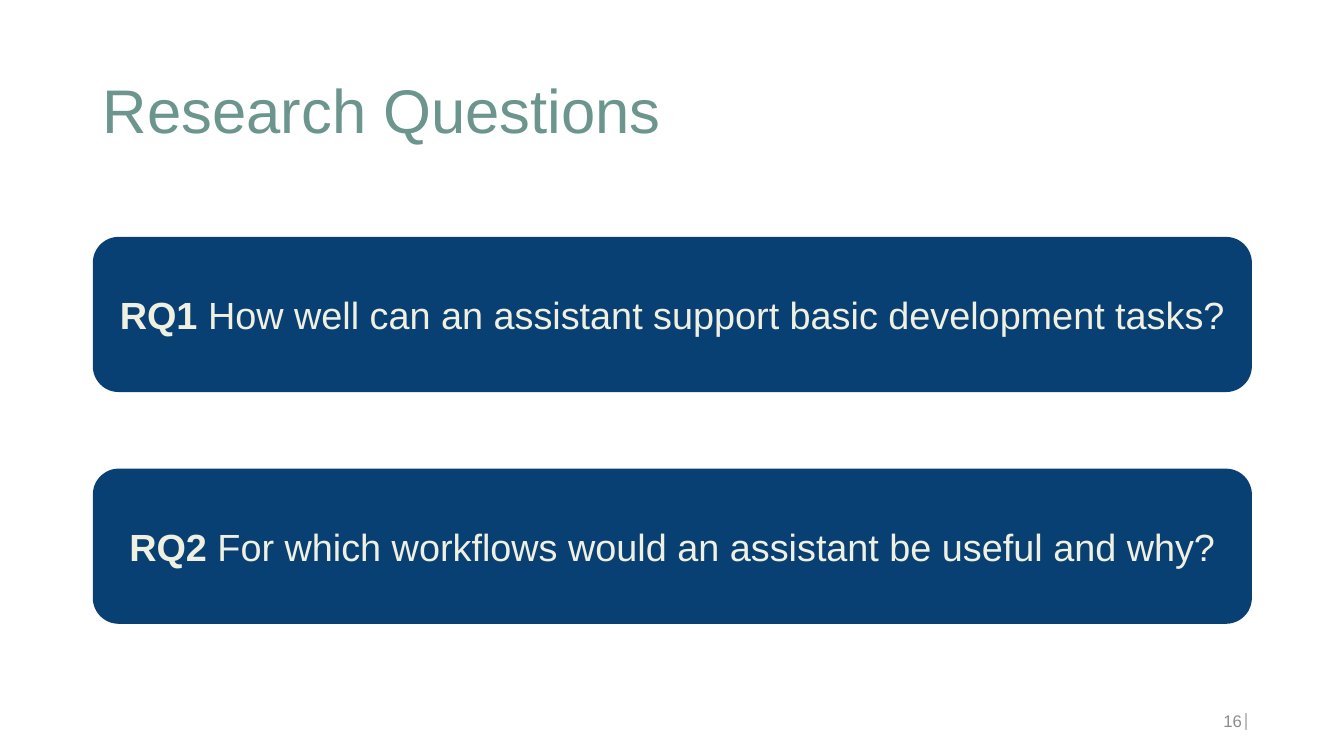
from lxml.etree import SubElement
from pptx import Presentation
from pptx.dml.color import RGBColor
from pptx.enum.shapes import MSO_CONNECTOR, MSO_SHAPE
from pptx.enum.text import MSO_ANCHOR, PP_ALIGN
from pptx.oxml.ns import qn
from pptx.util import Cm, Pt

SAGE = RGBColor(0x6C, 0x95, 0x8E)
NAVY = RGBColor(0x09, 0x40, 0x74)
CREAM = RGBColor(0xF0, 0xF0, 0xE1)
GREY = RGBColor(0x8C, 0x8C, 0x8C)
LIGHT_GREY = RGBColor(0xBF, 0xBF, 0xBF)

TITLE = "Research Questions"
PAGE_NUMBER = "16"
QUESTIONS = [
    ("RQ1 ", "How well can an assistant support basic development tasks?"),
    ("RQ2 ", "For which workflows would an assistant be useful and why?"),
]

TITLE_FORMAT = {"name": "Arial", "size": Pt(44), "color": SAGE}
NUMBER_FORMAT = {"name": "Arial", "size": Pt(12), "color": GREY}
QUESTION_FORMAT = {"name": "Arial", "size": Pt(27), "color": CREAM}

LEFT, WIDTH = 2.34, 29.21
CARD_TOP, CARD_HEIGHT, CARD_STEP = 5.97, 3.91, 5.84
NUMBER_WIDTH = 7.62
RULE_X, RULE_TOP, RULE_BOTTOM = 31.39, 17.96, 18.39


def write(shape, parts, text_format, alignment):
    frame = shape.text_frame
    frame.word_wrap = True
    frame.vertical_anchor = MSO_ANCHOR.MIDDLE
    paragraph = frame.paragraphs[0]
    paragraph.alignment = alignment
    for text, bold in parts:
        run = paragraph.add_run()
        run.text = text
        for name, value in {**text_format, "bold": bold}.items():
            if name == "color":
                run.font.color.rgb = value
            else:
                setattr(run.font, name, value)
    return paragraph


def main():
    presentation = Presentation()
    presentation.slide_width, presentation.slide_height = Cm(33.87), Cm(19.05)
    slide = presentation.slides.add_slide(presentation.slide_layouts[6])
    shapes = slide.shapes

    rule = shapes.add_connector(
        MSO_CONNECTOR.STRAIGHT, Cm(RULE_X), Cm(RULE_TOP), Cm(RULE_X), Cm(RULE_BOTTOM)
    )
    rule.line.color.rgb = LIGHT_GREY
    rule.line.width = Pt(1.5)
    SubElement(rule._element.spPr, qn("a:effectLst"))

    title = shapes.add_textbox(Cm(LEFT), Cm(1.02), Cm(WIDTH), Cm(3.68))
    paragraph = write(title, [(TITLE, False)], TITLE_FORMAT, PP_ALIGN.LEFT)
    paragraph.line_spacing = 0.9

    number = shapes.add_textbox(
        Cm(LEFT + WIDTH - NUMBER_WIDTH), Cm(17.65), Cm(NUMBER_WIDTH), Cm(1.02)
    )
    write(number, [(PAGE_NUMBER, False)], NUMBER_FORMAT, PP_ALIGN.RIGHT)

    for index, (label, question) in enumerate(QUESTIONS):
        card = shapes.add_shape(
            MSO_SHAPE.ROUNDED_RECTANGLE,
            Cm(LEFT), Cm(CARD_TOP + index * CARD_STEP), Cm(WIDTH), Cm(CARD_HEIGHT),
        )
        card.shadow.inherit = False
        card.fill.solid()
        card.fill.fore_color.rgb = NAVY
        card.line.fill.background()
        write(card, [(label, True), (question, False)], QUESTION_FORMAT, PP_ALIGN.CENTER)

    presentation.save("out.pptx")


if __name__ == "__main__":
    main()
